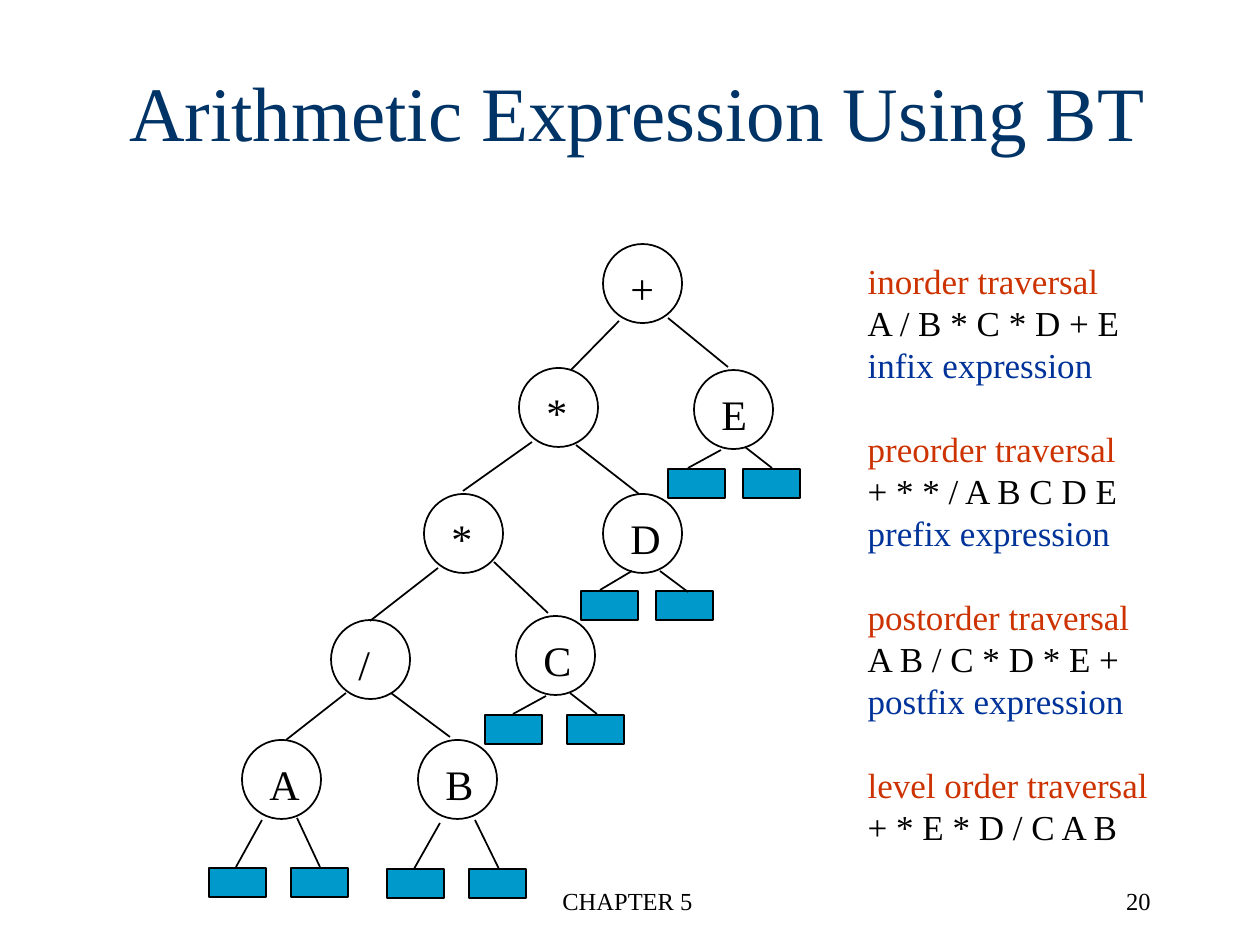
from lxml.etree import SubElement
from pptx import Presentation
from pptx.dml.color import RGBColor
from pptx.enum.shapes import MSO_CONNECTOR, MSO_SHAPE
from pptx.enum.text import MSO_ANCHOR, MSO_AUTO_SIZE, PP_ALIGN
from pptx.oxml.ns import qn
from pptx.util import Emu, Pt

# Content
TITLE = "Arithmetic Expression Using BT"
FOOT = [  # text, left, width, alignment
    ("CHAPTER 5", 428, 399, PP_ALIGN.CENTER),
    ("20", 901, 262, PP_ALIGN.RIGHT),
]
WALKS = [
    ("inorder traversal", "A / B * C * D + E", "infix expression"),
    ("preorder traversal", "+ * * / A B C D E", "prefix expression"),
    ("postorder traversal", "A B / C * D * E +", "postfix expression"),
    ("level order traversal", "+ * E * D / C A B"),
]
NODES = [  # label, left, top, label width
    ("+", 603, 244, 49), ("*", 519, 368, 47), ("*", 424, 494, 47),
    ("/", 331, 620, 37), ("A", 242, 740, 55), ("B", 418, 740, 53),
    ("C", 516, 616, 53), ("D", 603, 494, 55), ("E", 694, 370, 52),
]
EDGES = [  # from x, y, to x, y
    (619, 321, 571, 370), (668, 318, 728, 367),
    (532, 442, 463, 491), (576, 445, 639, 494),
    (438, 568, 370, 621), (494, 562, 548, 613),
    (346, 693, 286, 740), (391, 693, 450, 737),
    # down to the empty leaves
    (262, 820, 236, 867), (297, 818, 320, 867),
    (440, 823, 414, 869), (475, 820, 499, 869),
    (546, 696, 513, 714), (570, 693, 597, 714),
    (632, 571, 600, 590), (660, 571, 688, 592),
    (721, 450, 688, 468), (745, 447, 772, 468),
]
LEAVES = [  # top, left of each of the pair
    (868, 209, 291), (869, 387, 469), (715, 485, 567),
    (591, 581, 656), (469, 668, 743),
]

# Style
FONT = "Times New Roman"
BLACK, NAVY, RED, BLUE, TEAL = "000000", "003366", "CC3300", "003399", "0099CC"
DISC, LEAF = 79, (57, 29)


def px(*nums):
    return [Emu(round(n * 914400 / 126)) for n in nums]


def rgb(code):
    return RGBColor.from_string(code)


def put(item, **vals):
    for key, val in vals.items():
        setattr(item, key, val)


def place(shape, *box):
    put(shape, **dict(zip(("left", "top", "width", "height"), px(*box))))


def frame(shape, anchor=MSO_ANCHOR.TOP, wrap=True):
    text = shape.text_frame
    side, edge = px(12.6, 6.3)
    put(text, auto_size=MSO_AUTO_SIZE.NONE, word_wrap=wrap,
        vertical_anchor=anchor, margin_left=side, margin_right=side,
        margin_top=edge, margin_bottom=edge)
    return text


def write(para, text, size, color=BLACK, align=PP_ALIGN.LEFT, gap=0):
    put(para, text=text, alignment=align, line_spacing=Pt(size * 1.2),
        space_before=Pt(gap), space_after=Pt(0))
    put(para.font, name=FONT, size=Pt(size))
    para.font.color.rgb = rgb(color)


def label(text, box, size, wrap=True, align=PP_ALIGN.LEFT):
    shape = slide.shapes.add_textbox(*px(*box))
    write(frame(shape, wrap=wrap).paragraphs[0], text, size, align=align)


def stroke(item):
    item.line.color.rgb = rgb(BLACK)
    item.line.width = Pt(1)


def draw(kind, box, fill=None):
    shape = slide.shapes.add_shape(kind, *px(*box))
    shape.shadow.inherit = False
    stroke(shape)
    if fill:
        shape.fill.solid()
        shape.fill.fore_color.rgb = rgb(fill)
    else:
        shape.fill.background()


deck = Presentation()
deck.slide_width, deck.slide_height = px(1260, 945)
slide = deck.slides.add_slide(deck.slide_layouts[1])
title, body = slide.placeholders

# Title
place(title, 6, 32, 1263, 158)
write(frame(title, MSO_ANCHOR.MIDDLE).paragraphs[0], TITLE, 44, NAVY,
      PP_ALIGN.CENTER)

# Traversal list
place(body, 855, 253, 306, 601)
text = frame(body)
text.margin_right = 0
first = True
for walk in WALKS:
    for row, (line, color) in enumerate(zip(walk, (RED, BLACK, BLUE))):
        para = text.paragraphs[0] if first else text.add_paragraph()
        props = para._p.get_or_add_pPr()
        props.set("marL", "0")
        props.set("indent", "0")
        SubElement(props, qn("a:buNone"))
        write(para, line, 20, color, gap=24 if row == 0 and not first else 0)
        first = False

# Footer
for word, left, width, align in FOOT:
    label(word, (left, 880, width, 63), 14, align=align)

# Tree nodes
for name, left, top, width in NODES:
    draw(MSO_SHAPE.OVAL, (left, top, DISC, DISC))
    label(name, (left + 15, top + 12, width, 63), 24, wrap=False)

# Empty leaves
for top, *lefts in LEAVES:
    for left in lefts:
        draw(MSO_SHAPE.RECTANGLE, (left, top, *LEAF), TEAL)

# Branches
for ends in EDGES:
    branch = slide.shapes.add_connector(MSO_CONNECTOR.STRAIGHT, *px(*ends))
    stroke(branch)
    SubElement(branch._element.spPr, qn("a:effectLst"))

deck.save("out.pptx")
